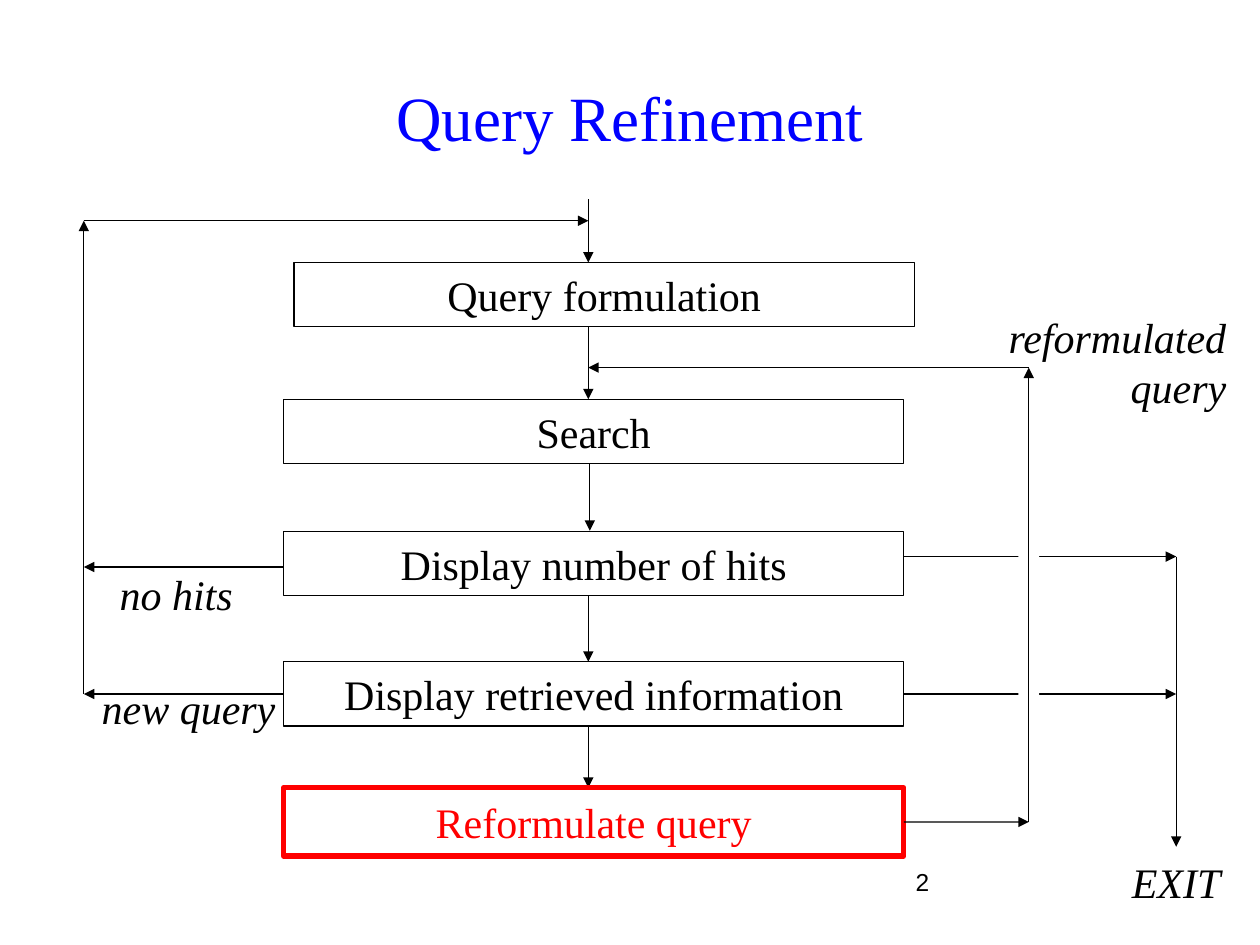
from lxml import etree
from pptx import Presentation
from pptx.dml.color import RGBColor
from pptx.enum.shapes import MSO_CONNECTOR, MSO_SHAPE
from pptx.enum.text import MSO_ANCHOR, PP_ALIGN
from pptx.oxml.ns import qn
from pptx.util import Cm, Pt

BLACK = RGBColor(0, 0, 0)
WHITE = RGBColor(255, 255, 255)
RED = RGBColor(255, 0, 0)
BLUE = RGBColor(0, 0, 255)
SERIF, SANS = "Times New Roman", "Arial"
STRAIGHT, RECT = MSO_CONNECTOR.STRAIGHT, MSO_SHAPE.RECTANGLE
LEFT, CENTER, RIGHT = PP_ALIGN.LEFT, PP_ALIGN.CENTER, PP_ALIGN.RIGHT
TOP, MIDDLE = MSO_ANCHOR.TOP, MSO_ANCHOR.MIDDLE
LEFT_SIDE, RIGHT_SIDE = 1, 3

# Flow chart geometry in centimetres
BOX_X, BOX_W, BOX_H = 5.72, 12.5, 1.3
BOX_RIGHT = BOX_X + BOX_W
FLOW_X = 11.86
BACK_X = 1.69
REFORM_X = 20.74
EXIT_X = 23.71
HITS_Y, SHOWN_Y, REFORM_Y = 11.43, 13.99, 16.57
START_Y, REENTRY_Y = 4.45, 7.41


def set_text(sp, text, size=24, color=BLACK, align=CENTER, anchor=MIDDLE,
             italic=False, font=SERIF):
    tf = sp.text_frame
    tf.text = text
    tf.word_wrap = True
    tf.vertical_anchor = anchor
    p = tf.paragraphs[0]
    p.alignment = align
    f = p.runs[0].font
    f.name, f.size, f.italic = font, Pt(size), italic
    f.color.rgb = color


def add_label(s, text, x, y, w, h, **style):
    sp = s.shapes.add_textbox(Cm(x), Cm(y), Cm(w), Cm(h))
    set_text(sp, text, **style)


def add_rect(s, x, y, w, h):
    sp = s.shapes.add_shape(RECT, Cm(x), Cm(y), Cm(w), Cm(h))
    sp.shadow.inherit = False
    sp.fill.solid()
    sp.fill.fore_color.rgb = WHITE
    sp.line.fill.background()
    return sp


def add_box(s, text, y, x=BOX_X, h=BOX_H, color=BLACK, width=0.75):
    sp = add_rect(s, x, y, BOX_W, h)
    sp.line.color.rgb = color
    sp.line.width = Pt(width)
    set_text(sp, text, color=color)
    return sp


def add_arrow(s, x1, y1, x2, y2, box=None, side=RIGHT_SIDE):
    c = s.shapes.add_connector(STRAIGHT, Cm(x1), Cm(y1), Cm(x2), Cm(y2))
    if box is not None:
        c.begin_connect(box, side)
    c.line.color.rgb = BLACK
    c.line.width = Pt(0.75)
    ln = c.line._get_or_add_ln()
    etree.SubElement(ln, qn("a:tailEnd"), type="triangle", w="med", len="med")
    etree.SubElement(c._element.spPr, qn("a:effectLst"))


def main():
    prs = Presentation()
    prs.slide_width, prs.slide_height = Cm(25.4), Cm(19.05)
    s = prs.slides.add_slide(prs.slide_layouts[6])

    # Title and page number
    add_label(s, "Query Refinement", 1.27, 0.76, 22.86, 3.18, size=36, color=BLUE)
    add_label(s, "2", 18.21, 17.36, 5.92, 1.32, size=14, align=LEFT,
              anchor=TOP, font=SANS)

    # Downward flow, partly behind the boxes
    for x, y1, y2 in ((FLOW_X, 4.02, 5.29), (FLOW_X, 6.56, 8.05),
                      (11.89, 9.22, 10.7), (FLOW_X, 11.86, 13.34),
                      (FLOW_X, 14.4, 15.88)):
        add_arrow(s, x, y1, x, y2)

    # Steps
    add_box(s, "Query formulation", 5.29, x=5.93)
    add_box(s, "Search", 8.05)
    add_box(s, "Display number of hits", 10.71)
    shown = add_box(s, "Display retrieved information", 13.34)
    reform = add_box(s, "Reformulate query", 15.88, h=1.38, color=RED, width=3)

    # Loop back to the start
    add_arrow(s, BOX_X, HITS_Y, BACK_X, HITS_Y)
    add_arrow(s, BOX_X, SHOWN_Y, BACK_X, SHOWN_Y, shown, LEFT_SIDE)
    add_arrow(s, BACK_X, SHOWN_Y, BACK_X, START_Y)
    add_arrow(s, BACK_X, START_Y, FLOW_X, START_Y)

    # Way out, with gaps where the reformulation line crosses
    exit_y = 11.22
    add_arrow(s, BOX_RIGHT, exit_y, EXIT_X, exit_y)
    add_arrow(s, BOX_RIGHT, SHOWN_Y, EXIT_X, SHOWN_Y, shown)
    add_arrow(s, EXIT_X, exit_y, EXIT_X, 17.07)
    gap = 0.42
    for y in (exit_y, SHOWN_Y):
        add_rect(s, REFORM_X - gap / 2, y - gap / 2, gap, gap)

    # Reformulated query returns to the search
    add_arrow(s, BOX_RIGHT, REFORM_Y, REFORM_X, REFORM_Y, reform)
    add_arrow(s, REFORM_X, REFORM_Y, REFORM_X, REENTRY_Y)
    add_arrow(s, REFORM_X, REENTRY_Y, FLOW_X, REENTRY_Y)

    # Branch labels
    for text, x, y, w, h, align in (
            ("no hits", 2.16, 11.33, 4.45, 1.27, LEFT),
            ("new query", 1.8, 13.64, 4.45, 1.27, LEFT),
            ("reformulated query", 19.69, 6.15, 5.28, 2.29, RIGHT),
            ("EXIT", 22.02, 17.15, 3.38, 1.27, CENTER)):
        add_label(s, text, x, y, w, h, align=align, anchor=TOP, italic=True)

    prs.save("out.pptx")


if __name__ == "__main__":
    main()
